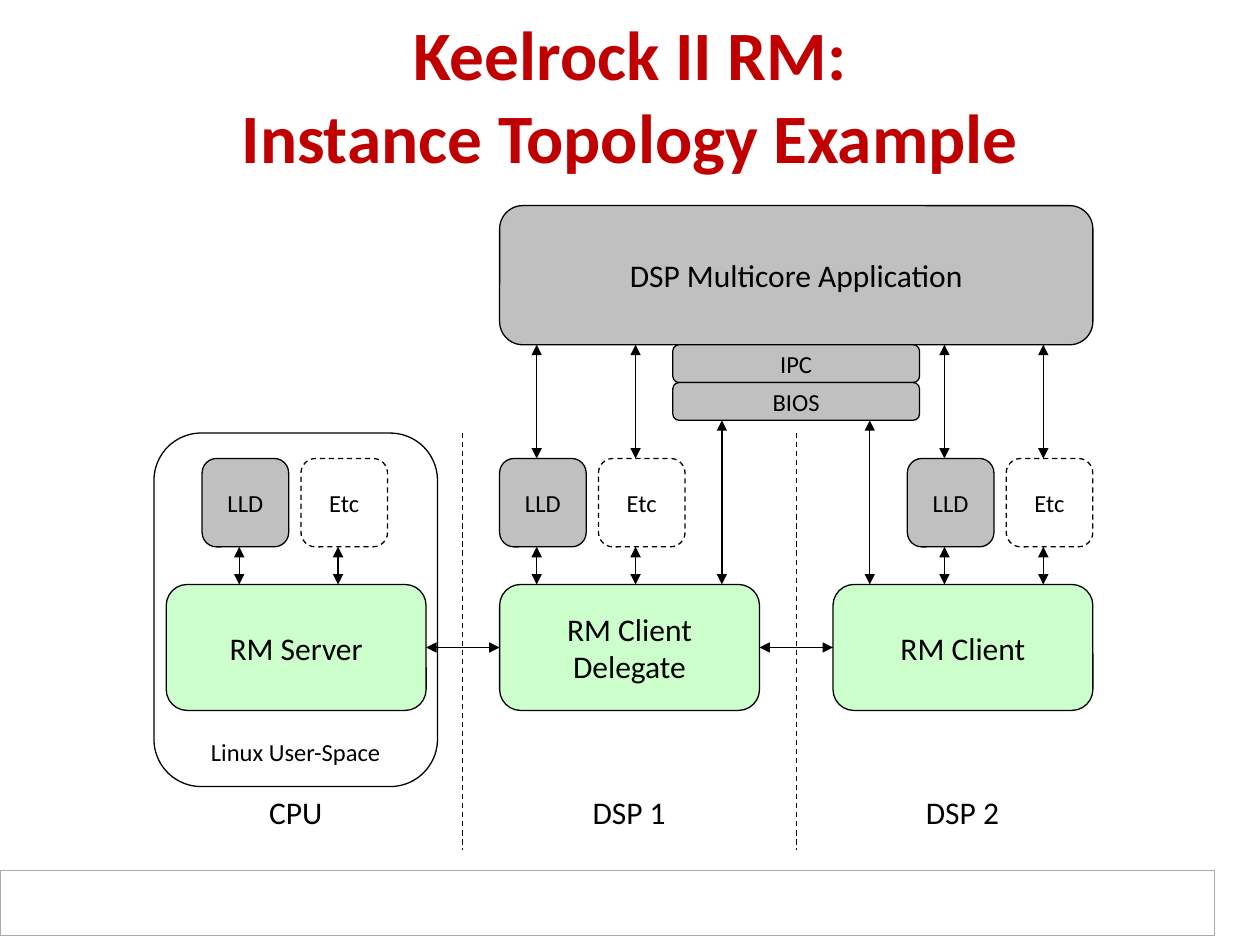
from lxml import etree
from pptx import Presentation
from pptx.dml.color import RGBColor
from pptx.enum.dml import MSO_LINE
from pptx.enum.shapes import MSO_CONNECTOR, MSO_SHAPE
from pptx.enum.text import MSO_ANCHOR, PP_ALIGN
from pptx.oxml.ns import qn
from pptx.util import Pt

RECT, ROUND = MSO_SHAPE.RECTANGLE, MSO_SHAPE.ROUNDED_RECTANGLE
STRAIGHT, DASH = MSO_CONNECTOR.STRAIGHT, MSO_LINE.DASH
TOP, MIDDLE, BOTTOM = MSO_ANCHOR.TOP, MSO_ANCHOR.MIDDLE, MSO_ANCHOR.BOTTOM
CENTER = PP_ALIGN.CENTER
LEFT_SIDE, RIGHT_SIDE = 1, 3

# Content
TITLE = "Keelrock II RM:\vInstance Topology Example"
APP = "DSP Multicore Application"
LAYERS = ["IPC", "BIOS"]
PANEL = "Linux User-Space"
# Core, manager, offset of its driver pair, linked to the application
CORES = [
    ("CPU", "RM Server", 20.5, False),
    ("DSP 1", "RM Client Delegate", 0, True),
    ("DSP 2", "RM Client", 42.5, True),
]
COLORS = {"title": "C00000", "black": "000000", "white": "FFFFFF",
          "gray": "C0C0C0", "green": "CCFFCC", "footer": "AAAAAA"}
TITLE_FONT = {"name": "Calibri", "size": Pt(39.6), "bold": True}
LARGE = {"name": "Calibri", "size": Pt(18)}
SMALL = {"name": "Calibri", "size": Pt(14)}

# Layout in points
COL_X, COL_STEP, RM_W, RM_Y, RM_H = 95, 190.5, 148.5, 334, 72
APP_Y, APP_H = 117.5, 79.5
LAYER_X, LAYER_W, LAYER_H = 384.5, 141, 21.6
DRIVER_Y, DRIVER_W, DRIVER_H, DRIVER_STEP = 262, 49.5, 50.5, 56.5
ARROW_DX = 21.2
PANEL_Y, PANEL_W, PANEL_H, PANEL_PAD = 247.5, 162, 202, 7
DIVIDER_END = 485.5
APP_BOTTOM = APP_Y + APP_H
LAYERS_BOTTOM = APP_BOTTOM + LAYER_H * len(LAYERS)


def color(name):
    return RGBColor.from_string(COLORS[name])


def write(sp, text, font, ink="black", anchor=MIDDLE):
    tf = sp.text_frame
    tf.word_wrap = True
    tf.vertical_anchor = anchor
    p = tf.paragraphs[0]
    p.text = text
    p.alignment = CENTER
    for r in p.runs:
        for key, value in font.items():
            setattr(r.font, key, value)
        r.font.color.rgb = color(ink)


def add_box(x, y, w, h, fill=None, line="black", kind=ROUND, dashed=False):
    sp = s.shapes.add_shape(kind, Pt(x), Pt(y), Pt(w), Pt(h))
    sp.shadow.inherit = False
    if fill:
        sp.fill.solid()
        sp.fill.fore_color.rgb = color(fill)
    else:
        sp.fill.background()
    sp.line.color.rgb = color(line)
    sp.line.width = Pt(0.75)
    if dashed:
        sp.line.dash_style = DASH
    return sp


def add_label(x, y, w, h, text, font, **style):
    write(s.shapes.add_textbox(Pt(x), Pt(y), Pt(w), Pt(h)), text, font, **style)


def add_line(x1, y1, x2, y2, arrows=True):
    cx = s.shapes.add_connector(STRAIGHT, Pt(x1), Pt(y1), Pt(x2), Pt(y2))
    cx.line.color.rgb = color("black")
    cx.line.width = Pt(0.75)
    if arrows:
        ln = cx.line._get_or_add_ln()
        for end in ("a:headEnd", "a:tailEnd"):
            etree.SubElement(ln, qn(end), type="triangle")
    else:
        cx.line.dash_style = DASH
    etree.SubElement(cx._element.spPr, qn("a:effectLst"))
    return cx


prs = Presentation()
prs.slide_width, prs.slide_height = Pt(720), Pt(540)
s = prs.slides.add_slide(prs.slide_layouts[6])

# Footer bar and title
add_box(0, 497.5, 694, 37, "white", "footer", RECT)
add_label(36, 6, 648, 96, TITLE, TITLE_FONT, ink="title")

# User-space panel behind the first column
panel = add_box(COL_X - PANEL_PAD, PANEL_Y, PANEL_W, PANEL_H, "white")
write(panel, PANEL, SMALL, anchor=BOTTOM)

# Application across the two DSP columns, with its layers below
app = add_box(COL_X + COL_STEP, APP_Y, COL_STEP + RM_W, APP_H, "gray")
write(app, APP, LARGE)
for i, name in enumerate(LAYERS):
    layer = add_box(LAYER_X, APP_BOTTOM + i * LAYER_H, LAYER_W, LAYER_H, "gray")
    write(layer, name, SMALL)

# One column per core
managers = []
for i, (core, manager, offset, linked) in enumerate(CORES):
    x = COL_X + i * COL_STEP
    rm = add_box(x, RM_Y, RM_W, RM_H, "green")
    write(rm, manager, LARGE)
    managers.append(rm)
    add_label(x - PANEL_PAD, PANEL_Y + PANEL_H, PANEL_W, 35, core, LARGE, anchor=TOP)

    for j, (driver, fill) in enumerate([("LLD", "gray"), ("Etc", None)]):
        dx = x + offset + j * DRIVER_STEP
        box = add_box(dx, DRIVER_Y, DRIVER_W, DRIVER_H, fill, dashed=not fill)
        write(box, driver, SMALL)
        ax = dx + ARROW_DX
        add_line(ax, DRIVER_Y + DRIVER_H, ax, RM_Y)
        if linked:
            add_line(ax, APP_BOTTOM, ax, DRIVER_Y)

# Layers to the two clients
for ax in (LAYER_X + 28, LAYER_X + LAYER_W - 28.5):
    add_line(ax, LAYERS_BOTTOM, ax, RM_Y)

# Dividers and links between neighbouring managers
for i, (a, b) in enumerate(zip(managers, managers[1:])):
    mid = COL_X + i * COL_STEP + (RM_W + COL_STEP) / 2
    add_line(mid, PANEL_Y, mid, DIVIDER_END, arrows=False)
    link = add_line(mid, RM_Y, mid, RM_Y)
    link.begin_connect(a, RIGHT_SIDE)
    link.end_connect(b, LEFT_SIDE)

prs.save("out.pptx")
